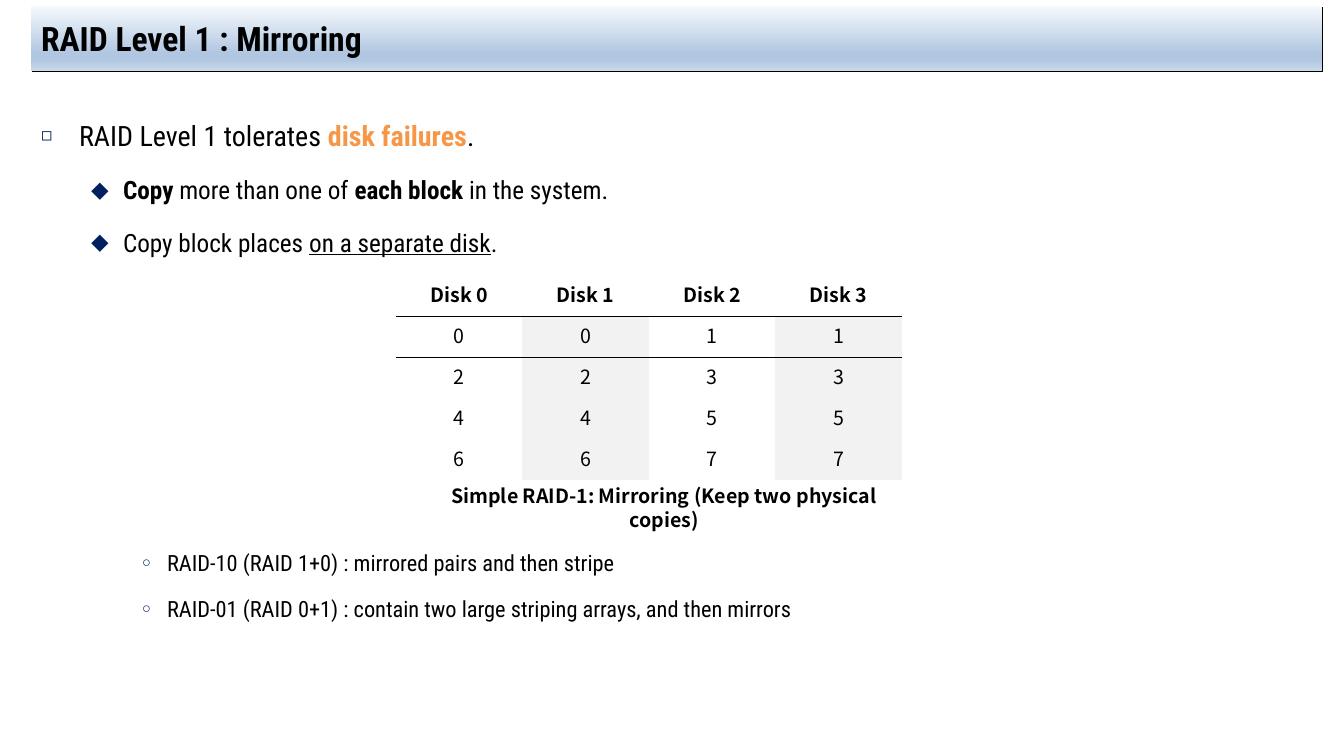
from lxml.etree import SubElement as Sub
from pptx import Presentation
from pptx.dml.color import RGBColor as Rgb
from pptx.enum.text import MSO_ANCHOR as Anchor, MSO_AUTO_SIZE as Auto, PP_ALIGN as Align
from pptx.oxml.ns import qn
from pptx.util import Pt

SCALE = 914400 / 100.8
COND, SANS = "Roboto Condensed", "Noto Sans CJK KR"
BLACK, NAVY, ORANGE = "000000", "002060", "F79646"
PLAIN = "{2D5ABB26-0587-4C30-8999-92F81FD0307C}"  # table style without lines or fills
BOLD = {"bold": True}

# bullet, bullet size %, left margin, hanging indent, text size
LEVELS = [("◻", 65, 38, 38, 20), ("⬥", 100, 82, 32, 18), ("○", 65, 126, 25, 16)]

# level, space before, runs
POINTS = [
    (0, 0, [("RAID Level 1 tolerates ", {}),
            ("disk failures", {"bold": True, "color": ORANGE}), (".", {})]),
    (1, 5, [("Copy", BOLD), (" more than one of ", {}),
            ("each block ", BOLD), ("in the system.", {})]),
    (1, 5, [("Copy block places ", {}),
            ("on a separate disk", {"underline": True}), (".", {})]),
    (2, 199, [("RAID-10 (RAID 1+0) : mirrored pairs and then stripe", {})]),
    (2, 4, [("RAID-01 (RAID 0+1) : contain two large striping arrays, and then mirrors", {})]),
]


def px(n):
    return round(n * SCALE)


def rgb(code):
    return Rgb.from_string(code)


def node(parent, tag, **attrs):
    return Sub(parent, qn("a:" + tag), {k: str(v) for k, v in attrs.items()})


def tint(parent, code):
    return node(parent, "srgbClr", val=code)


def place(shape, *box):
    for name, n in zip(("left", "top", "width", "height"), box):
        setattr(shape, name, px(n))


def add_run(para, text, size, face, color=BLACK, **style):
    run = para.add_run()
    run.text = text
    look = {"size": Pt(size), "name": face, "bold": False, **style}
    for name, value in look.items():
        setattr(run.font, name, value)
    run.font.color.rgb = rgb(color)


def add_title(slide):
    bar = slide.shapes.title
    place(bar, 31, 6, 1291, 65)
    props = bar._element.spPr
    grad = node(props, "gradFill", rotWithShape=1)
    stops = node(grad, "gsLst")
    for pos, code in ((0, "F6F9FC"), (74, "B0C6E1"), (83, "B0C6E1"), (100, "CAD9EB")):
        tint(node(stops, "gs", pos=pos * 1000), code)
    node(grad, "lin", ang=5400000, scaled=0)
    shade = node(node(props, "effectLst"), "outerShdw",
                 dist=Pt(1.4), dir=2700000, algn="tl", rotWithShape=0)
    tint(shade, BLACK)
    frame = bar.text_frame
    frame.auto_size, frame.vertical_anchor = Auto.NONE, Anchor.MIDDLE
    para = frame.paragraphs[0]
    para.alignment = Align.LEFT
    add_run(para, "RAID Level 1 : Mirroring", 24, COND, bold=True)


def add_bullet(para, mark, ratio, left, hang):
    props = para._p.get_or_add_pPr()
    props.set("marL", str(px(left)))
    props.set("indent", str(-px(hang)))
    tint(node(props, "buClr"), NAVY)
    node(props, "buSzPct", val=ratio * 1000)
    node(props, "buChar", char=mark)


def add_points(slide):
    body = slide.placeholders[1]
    place(body, 31, 97, 1291, 607)
    frame = body.text_frame
    frame.auto_size = Auto.NONE
    for i, (level, gap, runs) in enumerate(POINTS):
        para = frame.add_paragraph() if i else frame.paragraphs[0]
        *bullet, size = LEVELS[level]
        add_bullet(para, *bullet)
        for name, value in {"level": level, "line_spacing": 1.5, "space_before": Pt(gap)}.items():
            setattr(para, name, value)
        for text, style in runs:
            add_run(para, text, size, COND, **style)


def add_edge(cell, side):
    edge = node(cell._tc.get_or_add_tcPr(), side, w=Pt(0.75))
    tint(node(edge, "solidFill"), BLACK)


def add_disks(slide):
    rows = [[f"Disk {n}" for n in range(4)]]
    rows += [[str(n + c // 2) for c in range(4)] for n in range(0, 8, 2)]
    table = slide.shapes.add_table(5, 4, px(396), px(275), px(506), px(205)).table
    table.first_row = table.horz_banding = False
    table._tbl.tblPr.find(qn("a:tableStyleId")).text = PLAIN
    for r, row in enumerate(rows):
        for c, text in enumerate(row):
            cell = table.cell(r, c)
            if r < 2:
                add_edge(cell, "lnT" if r else "lnB")
            cell.fill.solid()
            cell.fill.fore_color.rgb = rgb("F2F2F2" if r and c % 2 else "FFFFFF")
            para = cell.text_frame.paragraphs[0]
            para.alignment = Align.CENTER
            add_run(para, text, 14, SANS, bold=r == 0)


def add_caption(slide):
    frame = slide.shapes.add_textbox(px(410), px(479), px(508), px(34)).text_frame
    frame.word_wrap = True
    para = frame.paragraphs[0]
    para.alignment = Align.CENTER
    add_run(para, "Simple RAID-1: Mirroring (Keep two physical copies)", 14, SANS, bold=True)


def main():
    deck = Presentation()
    deck.slide_width, deck.slide_height = px(1344), px(756)
    slide = deck.slides.add_slide(deck.slide_layouts[1])
    add_title(slide)
    add_points(slide)
    add_caption(slide)
    add_disks(slide)
    deck.save("out.pptx")


if __name__ == "__main__":
    main()
